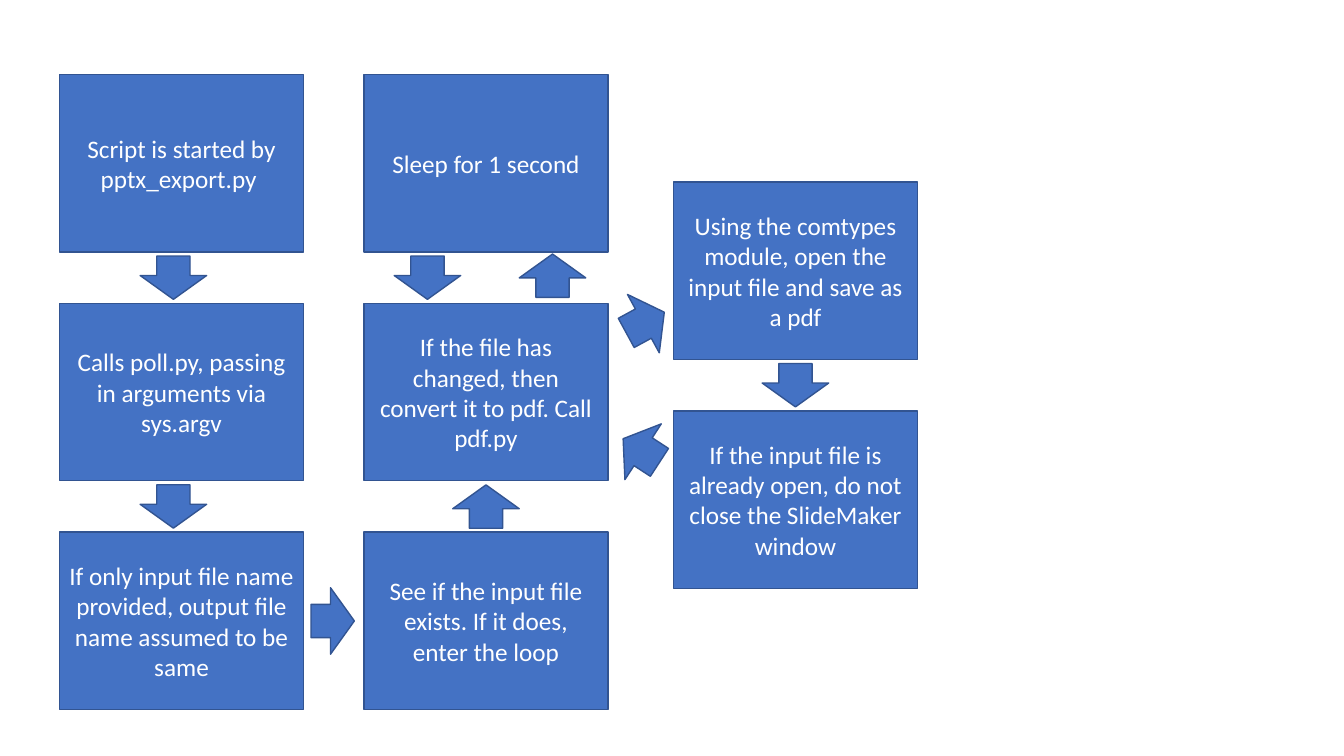
from pptx import Presentation
from pptx.dml.color import RGBColor
from pptx.enum.shapes import MSO_SHAPE
from pptx.enum.text import MSO_ANCHOR, PP_ALIGN
from pptx.util import Inches, Pt

RECT = MSO_SHAPE.RECTANGLE
DOWN_ARROW = MSO_SHAPE.DOWN_ARROW
MIDDLE = MSO_ANCHOR.MIDDLE
CENTER = PP_ALIGN.CENTER

COLORS = {"fill": "4472C4", "line": "325491", "text": "FFFFFF"}
FONT = {"name": "Calibri", "size": Pt(18)}
FRAME = {"word_wrap": True, "vertical_anchor": MIDDLE}

COLUMNS = [0.59, 3.61, 6.68]
TOP, ROW_PITCH = 0.74, 2.27
BOX_W, BOX_H = 2.42, 1.76
ARROW_W, ARROW_H = 0.66, 0.43
GAP = ROW_PITCH / 2
PDF_ROW = 0.47

BOXES = [
    (0, 0, "Script is started by pptx_export.py "),
    (0, 1, "Calls poll.py, passing in arguments via sys.argv"),
    (0, 2, "If only input file name provided, output file name assumed to be same"),
    (1, 2, "See if the input file exists. If it does, enter the loop"),
    (1, 1, "If the file has changed, then convert it to pdf. Call pdf.py"),
    (1, 0, "Sleep for 1 second"),
    (2, PDF_ROW + 1, "If the input file is already open, do not close the SlideMaker window"),
    (2, PDF_ROW, "Using the comtypes module, open the input file and save as a pdf"),
]

# Column and row of the box left, offset from its centre, rotation
ARROWS = [
    (0, 0, -0.08, GAP, 0),
    (0, 1, -0.08, GAP, 0),
    (0, 2, 1.5, 0, 270),
    (1, 2, 0, -GAP, 180),
    (1, 1, 0.66, -GAP - 0.02, 180),
    (1, 0, -0.58, GAP, 0),
    (1, 1, 1.58, -0.69, 241.4),
    (1, 1, 1.54, 0.58, 123.1),
    (2, PDF_ROW, 0, GAP, 0),
]


def rgb(key):
    return RGBColor.from_string(COLORS[key])


def set_all(obj, values):
    for name, value in values.items():
        setattr(obj, name, value)


def box_center(col, row):
    return COLUMNS[col] + BOX_W / 2, TOP + row * ROW_PITCH + BOX_H / 2


def add_centered(slide, kind, x, y, w, h):
    sp = slide.shapes.add_shape(
        kind, Inches(x - w / 2), Inches(y - h / 2), Inches(w), Inches(h))
    sp.shadow.inherit = False
    sp.fill.solid()
    sp.fill.fore_color.rgb = rgb("fill")
    sp.line.color.rgb = rgb("line")
    sp.line.width = Pt(1)
    return sp


def add_box(slide, col, row, text):
    sp = add_centered(slide, RECT, *box_center(col, row), BOX_W, BOX_H)
    tf = sp.text_frame
    set_all(tf, FRAME)
    p = tf.paragraphs[0]
    p.alignment = CENTER
    r = p.add_run()
    r.text = text
    set_all(r.font, FONT)
    r.font.color.rgb = rgb("text")


def add_arrow(slide, col, row, dx, dy, rotation):
    x, y = box_center(col, row)
    sp = add_centered(slide, DOWN_ARROW, x + dx, y + dy, ARROW_W, ARROW_H)
    sp.rotation = rotation
    sp.adjustments[0] = 0.5
    sp.adjustments[1] = 0.55


def main():
    prs = Presentation()
    prs.slide_width, prs.slide_height = Inches(13.33), Inches(7.5)
    slide = prs.slides.add_slide(prs.slide_layouts[6])
    for box in BOXES:
        add_box(slide, *box)
    for arrow in ARROWS:
        add_arrow(slide, *arrow)
    prs.save("out.pptx")


main()
